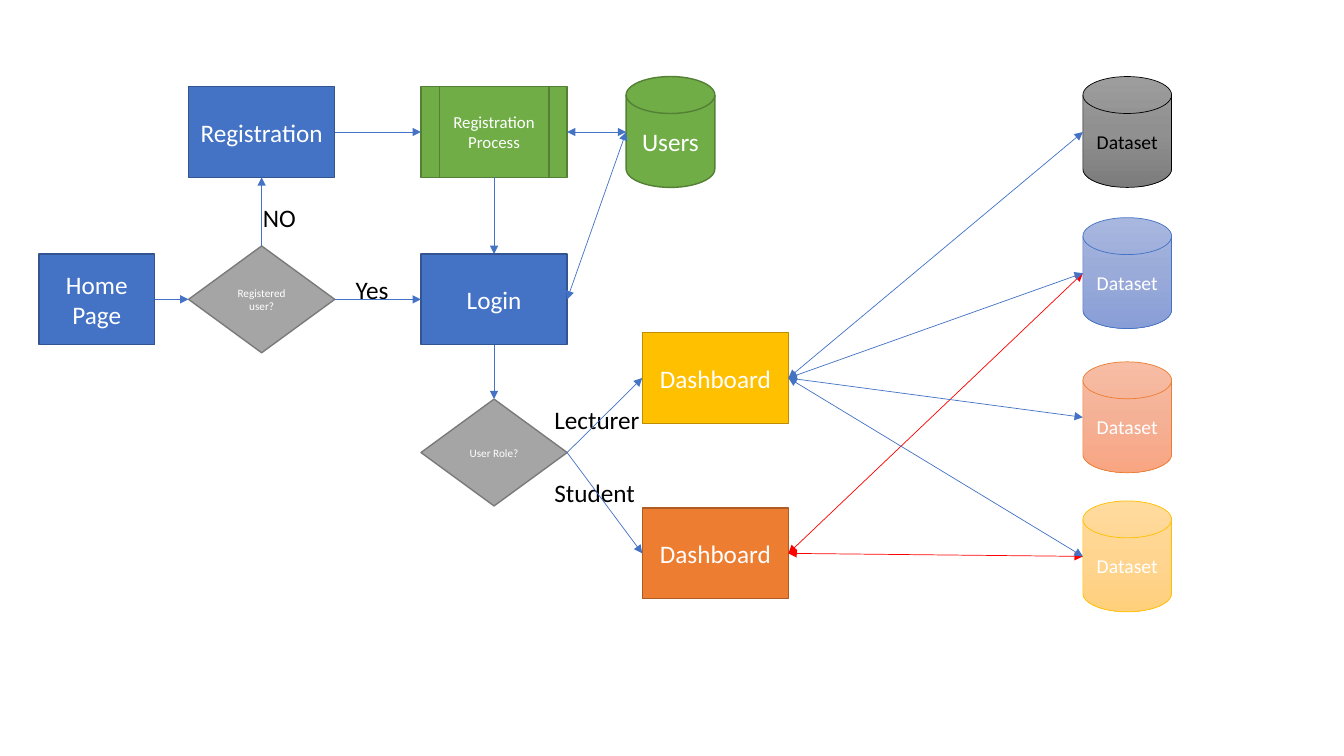
"""Build a flowchart slide of registration, login and role-based dashboards."""
from copy import deepcopy

from lxml.etree import SubElement
from pptx import Presentation
from pptx.dml.color import RGBColor
from pptx.enum.shapes import MSO_CONNECTOR, MSO_SHAPE
from pptx.enum.text import MSO_ANCHOR, MSO_AUTO_SIZE, PP_ALIGN
from pptx.oxml.ns import qn
from pptx.util import Inches, Pt

FONT = "Calibri"
BLUE, RED, WHITE, BLACK = "4472C4", "FF0000", "FFFFFF", "000000"
TOP, LEFT, BOTTOM, RIGHT = range(4)

COLUMNS = {"home": 0.96, "entry": 2.595, "login": 4.9, "users": 6.65, "dashboard": 7.095, "data": 11.18}
ROWS = {"register": 1.31, "login": 2.97, "lecturer": 3.75, "role": 4.49, "student": 5.49,
        "data 1": 1.31, "data 2": 2.71, "data 3": 4.14, "data 4": 5.52}

KINDS = {
    "home": (MSO_SHAPE.FLOWCHART_PROCESS, 1.15, 0.9, 18, 1),
    "process": (MSO_SHAPE.FLOWCHART_PROCESS, 1.45, 0.9, 18, 1),
    "predefined": (MSO_SHAPE.FLOWCHART_PREDEFINED_PROCESS, 1.45, 0.9, 12, 1),
    "decision": (MSO_SHAPE.FLOWCHART_DECISION, 1.45, 1.06, 8, 1),
    "store": (MSO_SHAPE.FLOWCHART_MAGNETIC_DISK, 0.88, 1.1, 18, 1),
    "dataset": (MSO_SHAPE.FLOWCHART_MAGNETIC_DISK, 0.88, 1.1, 14, 0.5),
}

NODES = [
    ("home", "Home Page", "home", "home", "login", [BLUE], "325491", WHITE),
    ("known", "Registered user?", "decision", "entry", "login", ["A5A5A5"], "7A7A7A", WHITE),
    ("register", "Registration", "process", "entry", "register", [BLUE], "325491", WHITE),
    ("login", "Login", "process", "login", "login", [BLUE], "325491", WHITE),
    ("signup", "Registration Process", "predefined", "login", "register", ["70AD47"], "538035", WHITE),
    ("role", "User Role?", "decision", "login", "role", ["A5A5A5"], "7A7A7A", WHITE),
    ("lecturer", "Dashboard", "process", "dashboard", "lecturer", ["FFC000"], "BD8E00", WHITE),
    ("student", "Dashboard", "process", "dashboard", "student", ["ED7D31"], "AF5C24", WHITE),
    ("users", "Users", "store", "users", "register", ["70AD47"], "538035", WHITE),
    ("data 1", "Dataset", "dataset", "data", "data 1", ["9D9D9D", "909090", "7C7C7C"], BLACK, BLACK),
    ("data 2", "Dataset", "dataset", "data", "data 2", ["A8B7DF", "9AABD9", "889ED7"], BLUE, WHITE),
    ("data 3", "Dataset", "dataset", "data", "data 3", ["F7BDA5", "F5B196", "F8A582"], "ED7D31", WHITE),
    ("data 4", "Dataset", "dataset", "data", "data 4", ["FFDB9E", "FFD590", "FFD07C"], "FFC000", WHITE),
]

LABELS = [
    ("NO", 2.51, 1.96, 0.85),
    ("Yes", 3.43, 2.67, 0.85),
    ("Lecturer", 5.4, 3.96, 1.17),
    ("Student", 5.4, 4.69, 1.59),
]

ONE_WAY = [
    ("known", TOP, "register", BOTTOM),
    ("home", RIGHT, "known", LEFT),
    ("known", RIGHT, "login", LEFT),
    ("register", RIGHT, "signup", LEFT),
    ("signup", BOTTOM, "login", TOP),
    ("login", BOTTOM, "role", TOP),
    ("role", RIGHT, "lecturer", LEFT),
    ("role", RIGHT, "student", LEFT),
]

TWO_WAY = [
    ("signup", "users", BLUE),
    ("student", "data 4", RED),
    ("student", "data 2", RED),
    ("lecturer", "data 1", BLUE),
    ("lecturer", "data 2", BLUE),
    ("lecturer", "data 3", BLUE),
    ("lecturer", "data 4", BLUE),
    ("login", "users", BLUE),
]


def color(value):
    """Turn a hex string into a colour."""
    return RGBColor.from_string(value)


def write(box, text, size, ink, align):
    """Put one styled paragraph into a shape."""
    box.text_frame.word_wrap = True
    para = box.text_frame.paragraphs[0]
    para.text = text
    para.alignment = align
    para.font.name = FONT
    para.font.size = Pt(size)
    para.font.color.rgb = color(ink)


def paint(shape, colors):
    """Fill a shape plainly, or with an even downward gradient."""
    if len(colors) == 1:
        shape.fill.solid()
        shape.fill.fore_color.rgb = color(colors[0])
        return
    shape.fill.gradient()
    shape.fill.gradient_angle = 270
    stop_list = shape._element.spPr.find(qn("a:gradFill")).find(qn("a:gsLst"))
    stop_list.insert(1, deepcopy(stop_list[0]))
    for index, stop in enumerate(shape.fill.gradient_stops):
        stop.position = index / (len(colors) - 1)
        stop.color.rgb = color(colors[index])


def add_node(page, text, kind, column, row, colors, outline, ink):
    """Draw a flowchart node centred on its column and row."""
    preset, width, height, size, weight = KINDS[kind]
    left, top = COLUMNS[column] - width / 2, ROWS[row] - height / 2
    shape = page.shapes.add_shape(preset, Inches(left), Inches(top), Inches(width), Inches(height))
    shape.shadow.inherit = False
    paint(shape, colors)
    shape.line.color.rgb = color(outline)
    shape.line.width = Pt(weight)
    shape.text_frame.vertical_anchor = MSO_ANCHOR.MIDDLE
    write(shape, text, size, ink, PP_ALIGN.CENTER)
    return shape


def side_point(shape, side):
    """Find the middle of one side of a shape."""
    across = {LEFT: 0, RIGHT: 2}.get(side, 1)
    down = {TOP: 0, BOTTOM: 2}.get(side, 1)
    return shape.left + shape.width * across // 2, shape.top + shape.height * down // 2


def add_arrow(page, start, start_side, end, end_side, ink, ends):
    """Join two nodes with a thin arrow."""
    arrow = page.shapes.add_connector(
        MSO_CONNECTOR.STRAIGHT, *side_point(start, start_side), *side_point(end, end_side))
    arrow.begin_connect(start, start_side)
    if end.auto_shape_type != MSO_SHAPE.FLOWCHART_MAGNETIC_DISK:
        arrow.end_connect(end, end_side)
    arrow.line.color.rgb = color(ink)
    arrow.line.width = Pt(0.5)
    properties = arrow._element.spPr
    for tag in ends:
        SubElement(properties.find(qn("a:ln")), qn(tag), type="triangle")
    SubElement(properties, qn("a:effectLst"))


def main():
    """Assemble and save the deck."""
    deck = Presentation()
    deck.slide_width, deck.slide_height = Inches(13.33), Inches(7.5)
    page = deck.slides.add_slide(deck.slide_layouts[6])
    nodes = {name: add_node(page, *details) for name, *details in NODES}
    for text, left, top, width in LABELS:
        box = page.shapes.add_textbox(Inches(left), Inches(top), Inches(width), Inches(0.4))
        write(box, text, 18, BLACK, PP_ALIGN.LEFT)
        box.text_frame.auto_size = MSO_AUTO_SIZE.SHAPE_TO_FIT_TEXT
    for start, start_side, end, end_side in ONE_WAY:
        add_arrow(page, nodes[start], start_side, nodes[end], end_side, BLUE, ["a:tailEnd"])
    for start, end, ink in TWO_WAY:
        add_arrow(page, nodes[start], RIGHT, nodes[end], LEFT, ink, ["a:headEnd", "a:tailEnd"])
    deck.save("out.pptx")


if __name__ == "__main__":
    main()
